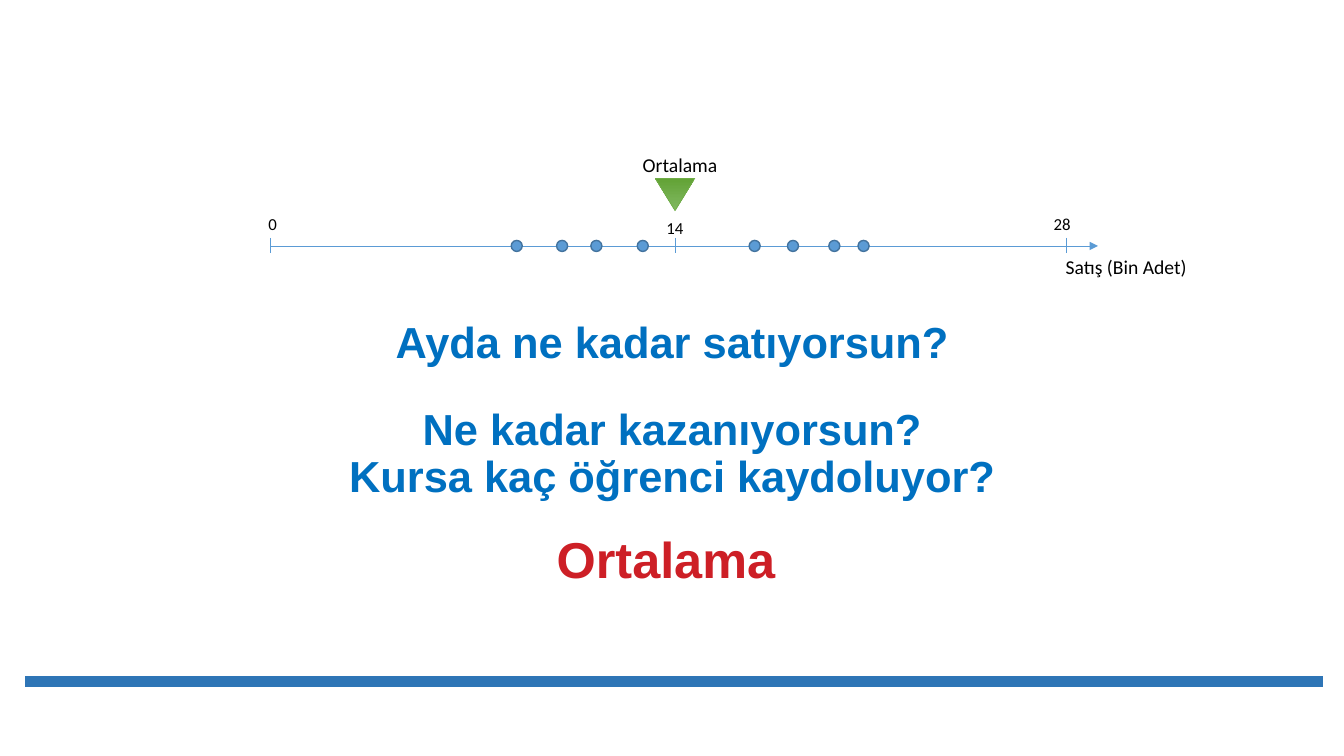
from lxml import etree
from pptx import Presentation
from pptx import util as u
from pptx.dml.color import RGBColor
from pptx.enum import shapes, text
from pptx.oxml.ns import qn

AXIS_BLUE = "5B9BD5"
AXIS_LABEL = {"name": "Calibri", "size": u.Pt(12), "color": "000000"}
CAPTION = {**AXIS_LABEL, "size": u.Pt(14)}
QUESTION = {"name": "Arial", "size": u.Pt(31), "bold": True, "color": "0070C0"}
TITLE = {**QUESTION, "size": u.Pt(36), "color": "CD1F26"}


def rgb(hex_color):
    return RGBColor.from_string(hex_color)


def inches(*lengths):
    return [u.Inches(length) for length in lengths]


def write_text(shape, lines, font_format, spacing=1.0, wrap=False):
    """Fill a shape with one centred paragraph per line."""
    frame = shape.text_frame
    frame.text = "\n".join(lines)
    frame.word_wrap = wrap
    for paragraph in frame.paragraphs:
        paragraph.alignment = text.PP_ALIGN.CENTER
        paragraph.line_spacing = spacing
        font = paragraph.runs[0].font
        for name, value in font_format.items():
            if name == "color":
                font.color.rgb = rgb(value)
            else:
                setattr(font, name, value)


def add_label(slide, box, lines, font_format, **options):
    label = slide.shapes.add_textbox(*inches(*box))
    write_text(label, lines, font_format, **options)
    label.text_frame.auto_size = text.MSO_AUTO_SIZE.SHAPE_TO_FIT_TEXT


def add_line(slide, start, end, color, width, arrow=False):
    line = slide.shapes.add_connector(
        shapes.MSO_CONNECTOR.STRAIGHT, *inches(*start, *end))
    line.line.color.rgb = rgb(color)
    line.line.width = u.Pt(width)
    properties = line._element.spPr
    if arrow:
        etree.SubElement(properties.find(qn("a:ln")), qn("a:tailEnd"), type="triangle")
    etree.SubElement(properties, qn("a:effectLst"))


def add_marker(slide, kind, box, line_color, line_width):
    marker = slide.shapes.add_shape(kind, *inches(*box))
    marker.shadow.inherit = False
    marker.line.color.rgb = rgb(line_color)
    marker.line.width = u.Pt(line_width)
    return marker


def draw_number_line(slide, left, top, width):
    """Sales axis with ticks, monthly dots and the average pointer."""
    axis = top + 0.97
    add_line(slide, (left, axis), (left + width, axis), AXIS_BLUE, 0.5, arrow=True)

    # Ticks: value, tick offset, label centre offset, label top offset
    for value, tick, centre, label_top in (
            ("0", 0, 0.03, 0.6), ("14", 4.02, 4.02, 0.64), ("28", 7.9, 7.86, 0.6)):
        x = left + tick
        add_line(slide, (x, axis - 0.08), (x, axis + 0.07), AXIS_BLUE, 0.5)
        add_label(slide, (left + centre - 0.19, top + label_top, 0.37, 0.3),
                  [value], AXIS_LABEL)

    # Monthly sales
    diameter = 0.11
    for offset in (2.39, 2.84, 3.18, 3.64, 4.75, 5.13, 5.54, 5.83):
        box = (left + offset, axis - diameter / 2, diameter, diameter)
        dot = add_marker(slide, shapes.MSO_SHAPE.OVAL, box, "43739E", 1)
        dot.fill.solid()
        dot.fill.fore_color.rgb = rgb(AXIS_BLUE)

    # Average pointer and captions
    pointer = add_marker(slide, shapes.MSO_SHAPE.ISOSCELES_TRIANGLE,
                         (left + 3.82, top + 0.3, 0.39, 0.32), "70AD47", 0.5)
    pointer.rotation = 180
    pointer.fill.gradient()
    pointer.fill.gradient_angle = 270
    for stop, color in zip(pointer.fill.gradient_stops, ("81B861", "62A336")):
        stop.color.rgb = rgb(color)
    add_label(slide, (left + 3.59, top, 0.95, 0.34), ["Ortalama"], CAPTION)
    add_label(slide, (left + 7.78, top + 1.01, 1.42, 0.34), ["Satış (Bin Adet)"], CAPTION)


def draw_questions(slide, left, top, width):
    add_label(slide, (left, top, width, 0.57), ["Ayda ne kadar satıyorsun?"],
              QUESTION, spacing=0.9)
    add_label(slide, (left, top + 0.86, width, 1.04),
              ["Ne kadar kazanıyorsun?", "Kursa kaç öğrenci kaydoluyor?"],
              QUESTION, spacing=0.9, wrap=True)


def place_title(slide, left, top, width, height):
    title = slide.shapes.title
    title.left, title.top, title.width, title.height = inches(left, top, width, height)
    write_text(title, ["Ortalama"], TITLE, spacing=0.9, wrap=True)
    title.text_frame.vertical_anchor = text.MSO_ANCHOR.BOTTOM


def main():
    presentation = Presentation()
    presentation.slide_width, presentation.slide_height = inches(13.33, 7.5)
    title_only = presentation.slide_layouts[5]
    slide = presentation.slides.add_slide(title_only)

    add_line(slide, (0.25, 6.76), (13.12, 6.76), "2E75B6", 8)  # Footer rule
    place_title(slide, 5.09, 5.16, 3.03, 0.74)
    draw_number_line(slide, 2.68, 1.47, 8.21)
    draw_questions(slide, 3.33, 3.14, 6.67)
    presentation.save("out.pptx")


if __name__ == "__main__":
    main()
